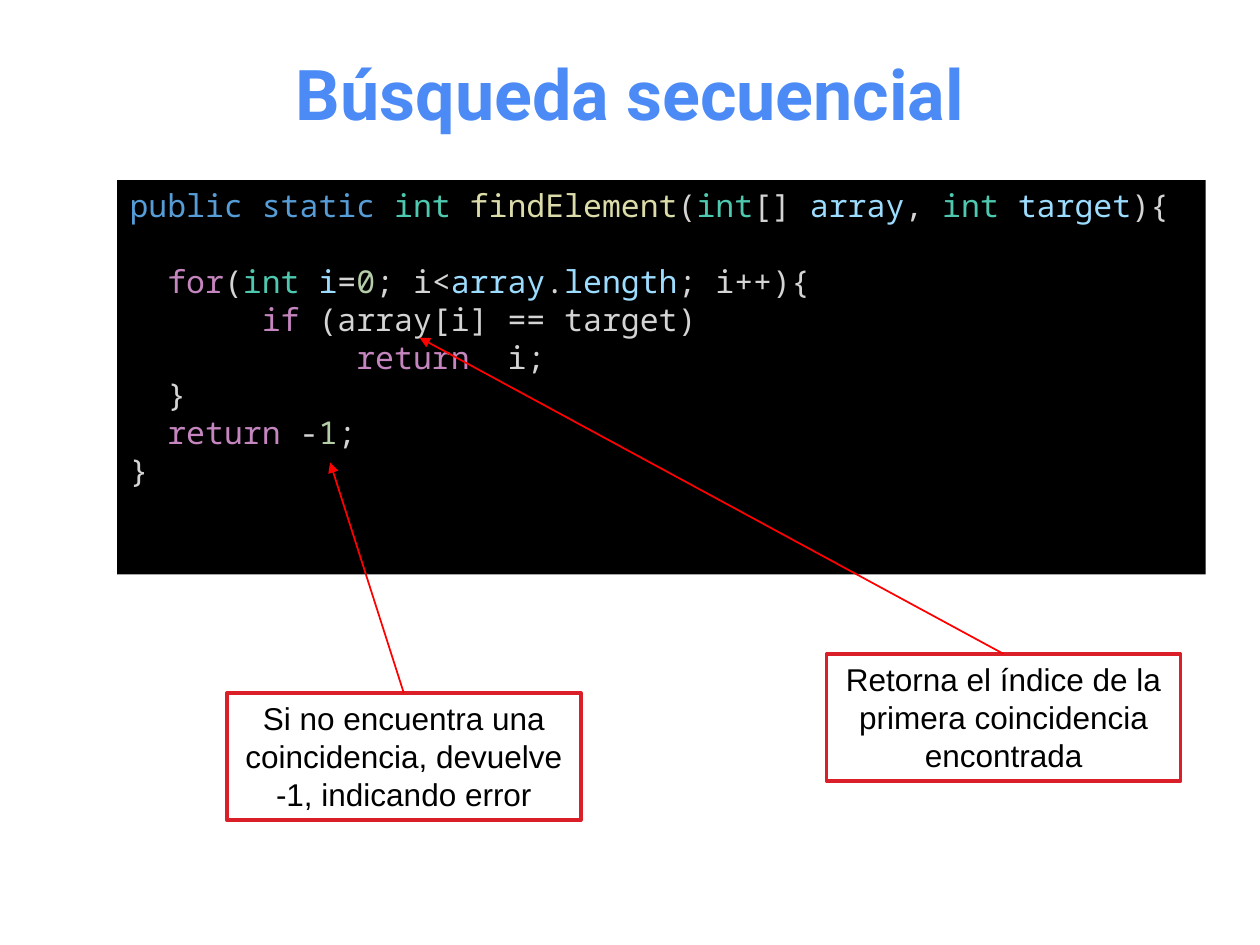
"""Build a slide that explains a sequential search in Java."""
from dataclasses import dataclass

from lxml import etree
from pptx import Presentation
from pptx.dml.color import RGBColor
from pptx.enum.shapes import MSO_CONNECTOR, MSO_SHAPE
from pptx.enum.text import MSO_ANCHOR, PP_ALIGN
from pptx.oxml.ns import qn
from pptx.util import Inches, Pt

RECTANGLE = MSO_SHAPE.RECTANGLE
STRAIGHT = MSO_CONNECTOR.STRAIGHT
TOP, MIDDLE = MSO_ANCHOR.TOP, MSO_ANCHOR.MIDDLE
LEFT, CENTER = PP_ALIGN.LEFT, PP_ALIGN.CENTER
COLUMNS, ROWS = 100, 75
UNIT = Inches(0.1)
TOP_SITE = 0


@dataclass(frozen=True)
class Theme:
    title_font: str = "Roboto"
    code_font: str = "Noto Sans Mono"
    note_font: str = "Arial"
    title_size: float = 40
    body_size: float = 18
    code_line: float = 21.6
    code_step: float = 10.8
    title: str = "4C8BF5"
    panel: str = "000000"
    note_fill: str = "FFFFFF"
    note_line: str = "DA1F28"
    note_text: str = "000000"
    arrow: str = "FF0000"
    keyword: str = "569CD6"
    type: str = "4EC9B0"
    function: str = "DCDCAA"
    plain: str = "D4D4D4"
    variable: str = "9CDCFE"
    control: str = "C586C0"
    number: str = "B5CEA8"


THEME = Theme()

CODE = [
    (0, 0, [("public static ", "keyword"), ("int ", "type"),
            ("findElement", "function"), ("(", "plain"), ("int", "type"),
            ("[] ", "plain"), ("array", "variable"), (", ", "plain"),
            ("int ", "type"), ("target", "variable"), ("){", "plain")]),
    (2, 1, [("for", "control"), ("(", "plain"), ("int ", "type"),
            ("i", "variable"), ("=", "plain"), ("0", "number"),
            ("; i<", "plain"), ("array", "variable"), (".", "plain"),
            ("length", "variable"), ("; i++){", "plain")]),
    (7, 0, [("if", "control"), (" (array[i] == target)", "plain")]),
    (12, 0, [("return\u00a0\u00a0", "control"), ("i;", "plain")]),
    (2, 0, [("}", "plain")]),
    (2, 0, [("return", "control"), (" -", "plain"), ("1", "number"),
            (";", "plain")]),
    (0, 0, [("}", "plain")]),
]

NOTES = [
    ("Retorna el índice de la primera coincidencia encontrada",
     (65.6, 51.9), (33.3, 26.8)),
    ("Si no encuentra una coincidencia, devuelve -1, indicando error",
     (18, 55), (26.2, 36.7)),
]
NOTE_SIZE = (28.1, 10.1)


def grid(*counts):
    """Turn grid counts into lengths."""
    return [int(count * UNIT) for count in counts]


def add_span(para, text, font, size, color, bold=False):
    """Add one styled run to a paragraph."""
    span = para.add_run()
    span.text = text
    span.font.name = font
    span.font.size = Pt(size)
    span.font.bold = bold
    span.font.color.rgb = RGBColor.from_string(color)


def set_frame(box, anchor):
    """Wrap the text of a box and anchor it."""
    frame = box.text_frame
    frame.word_wrap = True
    frame.vertical_anchor = anchor
    return frame


def add_panel(page, area, fill, line=None):
    """Add a flat rectangle with an optional outline."""
    box = page.shapes.add_shape(RECTANGLE, *grid(*area))
    box.shadow.inherit = False
    box.fill.solid()
    box.fill.fore_color.rgb = RGBColor.from_string(fill)
    if line:
        box.line.color.rgb = RGBColor.from_string(line)
        box.line.width = Pt(2)
    else:
        box.line.fill.background()
    return box


def add_title(page, text):
    """Add the centred slide title."""
    box = page.shapes.add_textbox(*grid(5, 3, COLUMNS - 10, 8.7))
    para = set_frame(box, MIDDLE).paragraphs[0]
    para.alignment = CENTER
    add_span(para, text, THEME.title_font, THEME.title_size, THEME.title, True)


def add_code(page, lines):
    """Add the dark panel with coloured, indented code."""
    box = add_panel(page, (9.3, 14.3, 86.4, 31.3), THEME.panel)
    frame = set_frame(box, TOP)
    for index, (indent, gap, tokens) in enumerate(lines):
        para = frame.add_paragraph() if index else frame.paragraphs[0]
        para.alignment = LEFT
        para.space_before = Pt(gap * THEME.code_line)
        properties = para._p.get_or_add_pPr()
        properties.set("marL", str(int(Pt(indent * THEME.code_step))))
        properties.set("indent", "0")
        for text, role in tokens:
            add_span(para, text, THEME.code_font, THEME.body_size,
                     getattr(THEME, role))


def add_arrow(page, box, target):
    """Point a thin arrow from the top of a box to a target."""
    arrow = page.shapes.add_connector(STRAIGHT, 0, 0, *grid(*target))
    arrow.begin_connect(box, TOP_SITE)
    arrow.line.color.rgb = RGBColor.from_string(THEME.arrow)
    arrow.line.width = Pt(1)
    etree.SubElement(arrow.line._get_or_add_ln(), qn("a:tailEnd"),
                     type="triangle")
    etree.SubElement(arrow._element.spPr, qn("a:effectLst"))


def add_note(page, text, corner, target):
    """Add an outlined note with its arrow."""
    box = add_panel(page, corner + NOTE_SIZE, THEME.note_fill, THEME.note_line)
    para = set_frame(box, TOP).paragraphs[0]
    para.alignment = CENTER
    add_span(para, text, THEME.note_font, THEME.body_size, THEME.note_text)
    add_arrow(page, box, target)


def main():
    """Build and save the deck."""
    deck = Presentation()
    deck.slide_width, deck.slide_height = grid(COLUMNS, ROWS)
    page = deck.slides.add_slide(deck.slide_layouts[6])
    add_code(page, CODE)
    add_title(page, "Búsqueda secuencial")
    for note in NOTES:
        add_note(page, *note)
    deck.save("out.pptx")


main()
